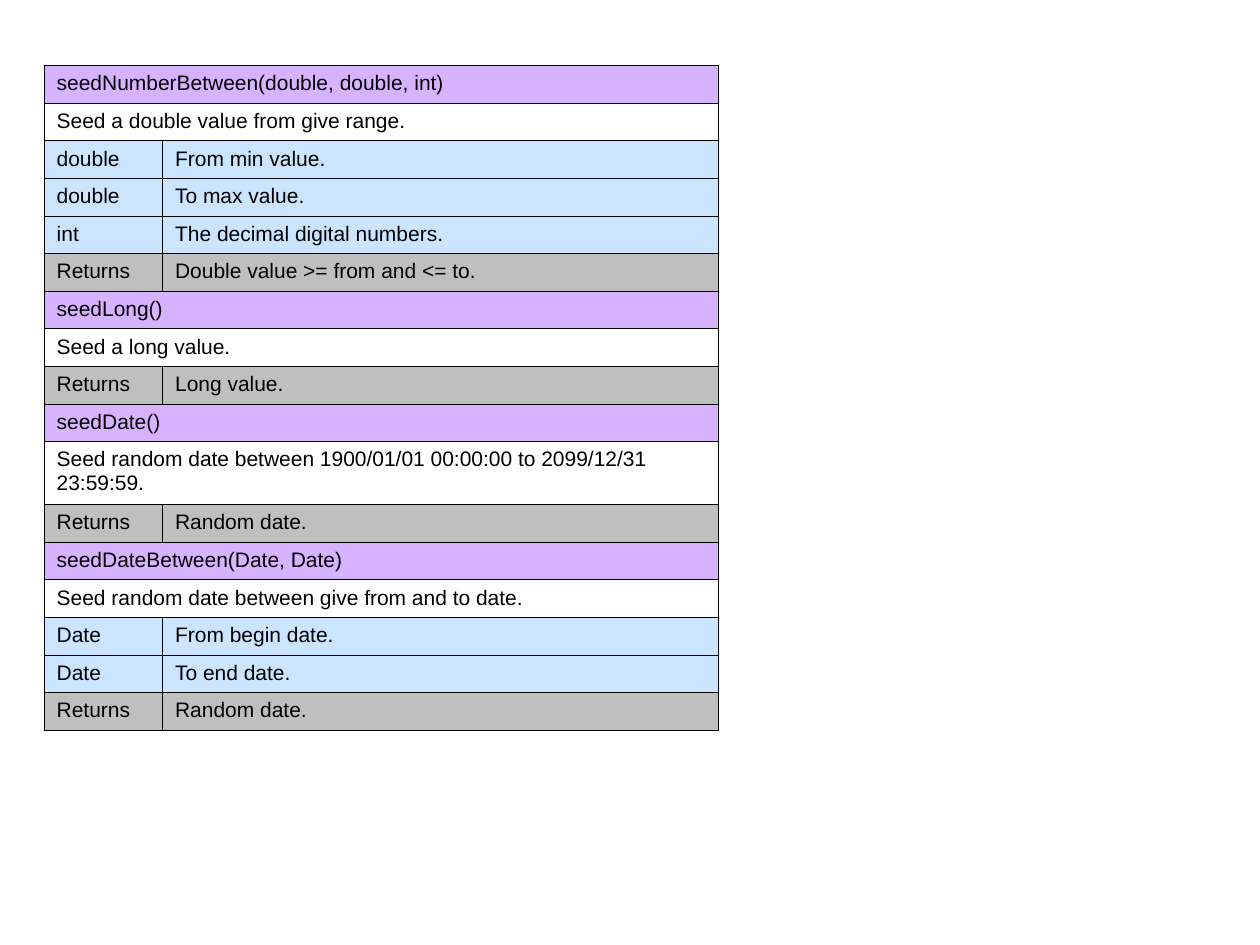
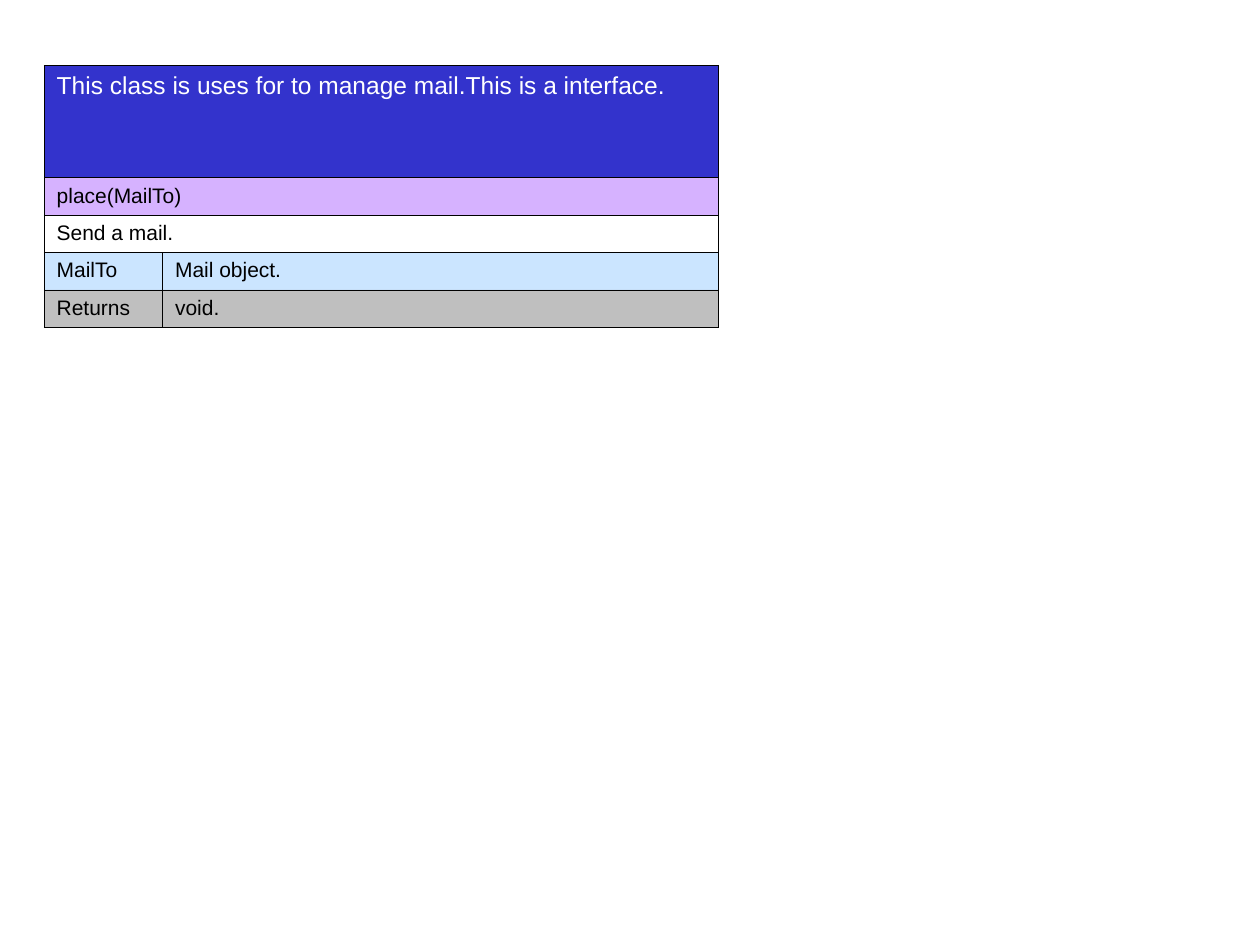
from lxml.etree import SubElement
from pptx import Presentation
from pptx.dml.color import RGBColor
from pptx.enum.text import MSO_ANCHOR
from pptx.oxml.ns import qn
from pptx.util import Inches, Pt

COLORS = {
    "class": "3333CC",
    "signature": "AF67FF",
    "parameter": "99CCFF",
    "returns": "808080",
    "border": "000000",
    "text": "000000",
    "class_text": "FFFFFF",
}
TRANSLUCENT = ("signature", "parameter", "returns")
TABLE_LEFT, TABLE_TOP = 0.35, 0.52
COLUMN_WIDTHS = (0.94, 4.41)
BORDER_WIDTH = Pt(0.45)
CELL_FORMAT = {
    "margin_left": Inches(0.1),
    "margin_right": Inches(0.1),
    "margin_top": Inches(0.05),
    "margin_bottom": Inches(0.05),
    "vertical_anchor": MSO_ANCHOR.TOP,
}
BODY_FONT = {"name": "Arial", "size": Pt(12), "bold": False}
CLASS_FONT = BODY_FONT | {"size": Pt(14)}

SEED_METHODS = [
    (
        "seedNumberBetween(double, double, int)",
        "Seed a double value from give range.",
        [
            ("double", "From min value."),
            ("double", "To max value."),
            ("int", "The decimal digital numbers."),
        ],
        "Double value >= from and <= to.",
    ),
    ("seedLong()", "Seed a long value.", [], "Long value."),
    (
        "seedDate()",
        "Seed random date between 1900/01/01 00:00:00 to 2099/12/31 23:59:59.",
        [],
        "Random date.",
    ),
    (
        "seedDateBetween(Date, Date)",
        "Seed random date between give from and to date.",
        [("Date", "From begin date."), ("Date", "To end date.")],
        "Random date.",
    ),
]
MAIL_CLASS = "This class is uses for to manage mail.This is a interface."
MAIL_METHODS = [
    ("place(MailTo)", "Send a mail.", [("MailTo", "Mail object.")], "void."),
]


def apply_format(target, values):
    for name, value in values.items():
        setattr(target, name, value)


def method_rows(methods):
    rows = []
    for signature, description, parameters, returned in methods:
        rows.append(("signature", (signature,)))
        rows.append(("description", (description,)))
        rows.extend(("parameter", parameter) for parameter in parameters)
        rows.append(("returns", ("Returns", returned)))
    return rows


def add_borders(cell):
    properties = cell._tc.get_or_add_tcPr()
    for side in ("a:lnL", "a:lnR", "a:lnT", "a:lnB"):
        line = SubElement(properties, qn(side), w=str(BORDER_WIDTH))
        fill = SubElement(line, qn("a:solidFill"))
        SubElement(fill, qn("a:srgbClr"), val=COLORS["border"])


def fill_cell(cell, kind):
    if kind not in COLORS:
        cell.fill.background()
        return
    cell.fill.solid()
    cell.fill.fore_color.rgb = RGBColor.from_string(COLORS[kind])
    if kind in TRANSLUCENT:
        color = cell._tc.tcPr.find(qn("a:solidFill")).find(qn("a:srgbClr"))
        SubElement(color, qn("a:alpha"), val="50000")


def write_text(cell, text, kind):
    cell.text = text
    font = cell.text_frame.paragraphs[0].runs[0].font
    is_class = kind == "class"
    apply_format(font, CLASS_FONT if is_class else BODY_FONT)
    color = COLORS["class_text" if is_class else "text"]
    font.color.rgb = RGBColor.from_string(color)


def add_method_table(slide, rows, height, tall_rows):
    frame = slide.shapes.add_table(
        len(rows), len(COLUMN_WIDTHS),
        Inches(TABLE_LEFT), Inches(TABLE_TOP),
        Inches(sum(COLUMN_WIDTHS)), Inches(height),
    )
    table = frame.table
    apply_format(table, {"first_row": False, "horz_banding": False})
    for column, width in zip(table.columns, COLUMN_WIDTHS):
        column.width = Inches(width)
    common_height = (height - sum(tall_rows.values())) / (len(rows) - len(tall_rows))
    for index, (kind, texts) in enumerate(rows):
        row = table.rows[index]
        row.height = Inches(tall_rows.get(index, common_height))
        for cell in row.cells:
            apply_format(cell, CELL_FORMAT)
            add_borders(cell)
            fill_cell(cell, kind)
        if len(texts) == 1:
            row.cells[0].merge(row.cells[1])
        for cell, text in zip(row.cells, texts):
            write_text(cell, text, kind)


def main():
    presentation = Presentation()
    presentation.slide_width = Inches(10)
    presentation.slide_height = Inches(7.5)
    blank_layout = presentation.slide_layouts[6]

    seed_slide = presentation.slides.add_slide(blank_layout)
    add_method_table(seed_slide, method_rows(SEED_METHODS), 5.28, {10: 0.5})

    mail_slide = presentation.slides.add_slide(blank_layout)
    mail_rows = [("class", (MAIL_CLASS,))] + method_rows(MAIL_METHODS)
    add_method_table(mail_slide, mail_rows, 2.08, {0: 0.89})

    presentation.save("out.pptx")


if __name__ == "__main__":
    main()
